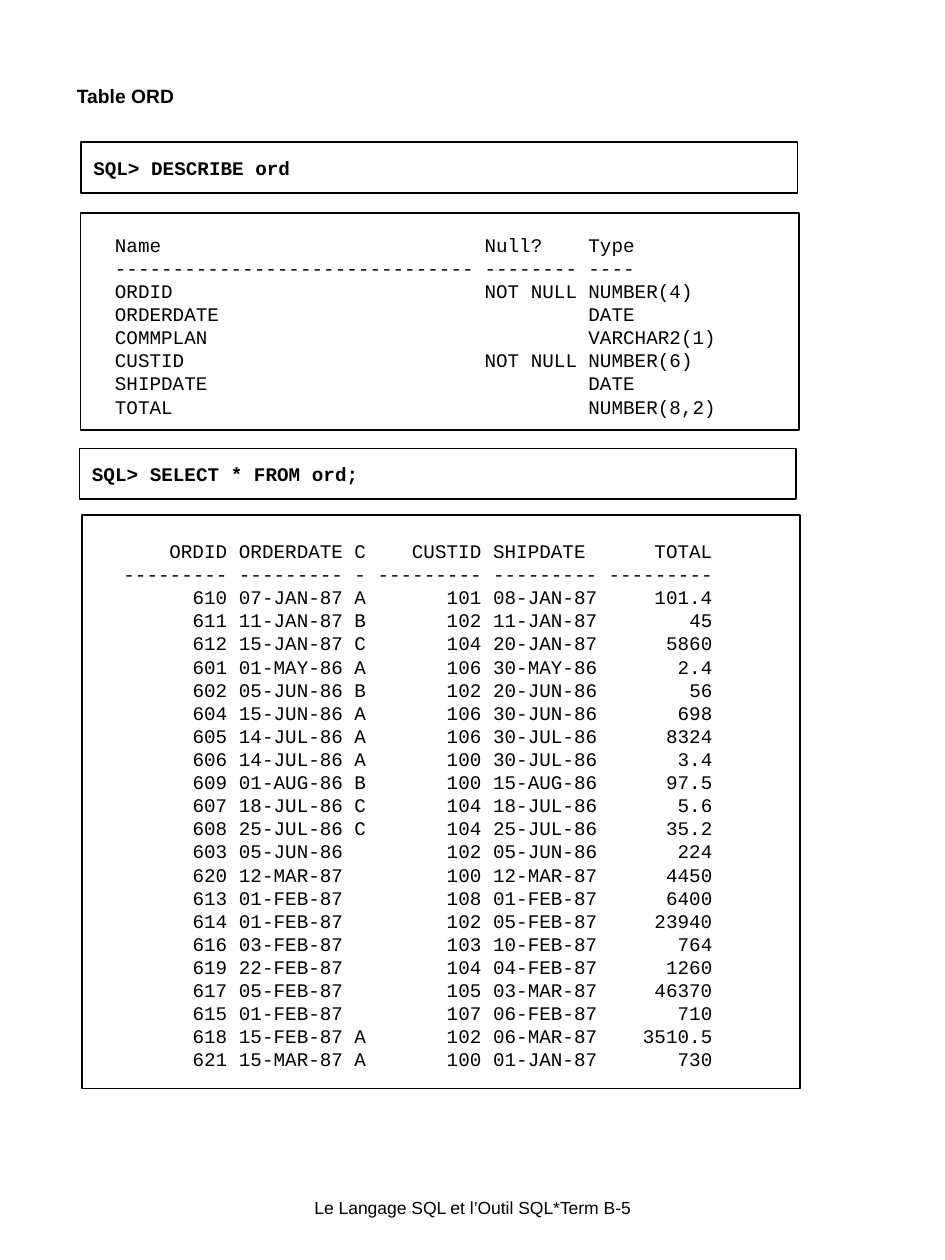
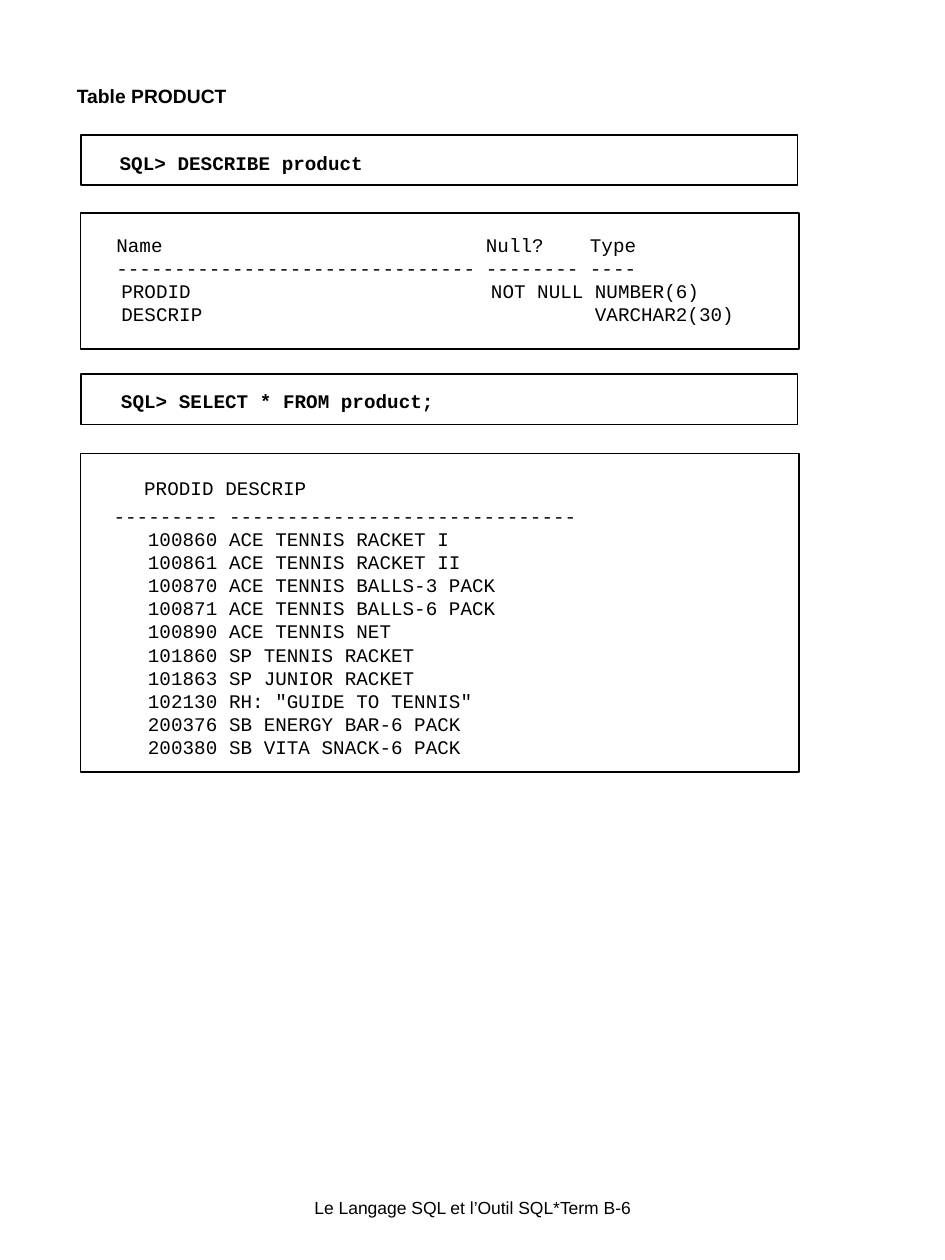
"""Builds two pages that describe and list the ORD and PRODUCT tables."""
import itertools
from dataclasses import dataclass

import pptx
import pptx.util
import pptx.dml.color
import pptx.enum.shapes
import pptx.enum.text
import pptx.oxml.ns
from lxml import etree

Inches = pptx.util.Inches
Pt = pptx.util.Pt


@dataclass(frozen=True)
class Theme:
    ink: pptx.dml.color.RGBColor = pptx.dml.color.RGBColor(0, 0, 0)
    sans: str = "Arial"
    mono: str = "Courier New"
    text_size: int = 11
    footer_size: int = 10
    line_width: int = 1
    char_width: float = 11 * 0.6 / 72
    text_inset: float = 0.1
    prompt_inset: float = 0.32


THEME = Theme()
WIDTH, HEIGHT = 7.5, 10
FOOTER = "Le Langage SQL et l’Outil SQL*Term B-{}"

DESCRIBE_HEAD = ("Name", "Null?", "Type")
DESCRIBE_COLUMNS = [(31, "l"), (8, "l"), (4, "l")]

ORD_FIELDS = [
    ("ORDID", "NOT NULL", "NUMBER(4)"),
    ("ORDERDATE", "", "DATE"),
    ("COMMPLAN", "", "VARCHAR2(1)"),
    ("CUSTID", "NOT NULL", "NUMBER(6)"),
    ("SHIPDATE", "", "DATE"),
    ("TOTAL", "", "NUMBER(8,2)"),
]
ORD_HEAD = ("ORDID", "ORDERDATE", "C", "CUSTID", "SHIPDATE", "TOTAL")
ORD_COLUMNS = [(9, "r"), (9, "l"), (1, "l"), (9, "r"), (9, "l"), (9, "r")]
ORD_ROWS = [
    ("610", "07-JAN-87", "A", "101", "08-JAN-87", "101.4"),
    ("611", "11-JAN-87", "B", "102", "11-JAN-87", "45"),
    ("612", "15-JAN-87", "C", "104", "20-JAN-87", "5860"),
    ("601", "01-MAY-86", "A", "106", "30-MAY-86", "2.4"),
    ("602", "05-JUN-86", "B", "102", "20-JUN-86", "56"),
    ("604", "15-JUN-86", "A", "106", "30-JUN-86", "698"),
    ("605", "14-JUL-86", "A", "106", "30-JUL-86", "8324"),
    ("606", "14-JUL-86", "A", "100", "30-JUL-86", "3.4"),
    ("609", "01-AUG-86", "B", "100", "15-AUG-86", "97.5"),
    ("607", "18-JUL-86", "C", "104", "18-JUL-86", "5.6"),
    ("608", "25-JUL-86", "C", "104", "25-JUL-86", "35.2"),
    ("603", "05-JUN-86", "", "102", "05-JUN-86", "224"),
    ("620", "12-MAR-87", "", "100", "12-MAR-87", "4450"),
    ("613", "01-FEB-87", "", "108", "01-FEB-87", "6400"),
    ("614", "01-FEB-87", "", "102", "05-FEB-87", "23940"),
    ("616", "03-FEB-87", "", "103", "10-FEB-87", "764"),
    ("619", "22-FEB-87", "", "104", "04-FEB-87", "1260"),
    ("617", "05-FEB-87", "", "105", "03-MAR-87", "46370"),
    ("615", "01-FEB-87", "", "107", "06-FEB-87", "710"),
    ("618", "15-FEB-87", "A", "102", "06-MAR-87", "3510.5"),
    ("621", "15-MAR-87", "A", "100", "01-JAN-87", "730"),
]

PRODUCT_FIELDS = [
    ("PRODID", "NOT NULL", "NUMBER(6)"),
    ("DESCRIP", "", "VARCHAR2(30)"),
]
PRODUCT_HEAD = ("PRODID", "DESCRIP")
PRODUCT_COLUMNS = [(9, "r"), (30, "l")]
PRODUCT_ROWS = [
    ("100860", "ACE TENNIS RACKET I"),
    ("100861", "ACE TENNIS RACKET II"),
    ("100870", "ACE TENNIS BALLS-3 PACK"),
    ("100871", "ACE TENNIS BALLS-6 PACK"),
    ("100890", "ACE TENNIS NET"),
    ("101860", "SP TENNIS RACKET"),
    ("101863", "SP JUNIOR RACKET"),
    ("102130", 'RH: "GUIDE TO TENNIS"'),
    ("200376", "SB ENERGY BAR-6 PACK"),
    ("200380", "SB VITA SNACK-6 PACK"),
]

PAGES = [
    dict(
        title="Table ORD", number=5, title_width=6.24,
        commands=[
            dict(text="SQL> DESCRIBE ord", frame=(0.64, 1.13, 5.69, 0.4), box=(0.42, 1.19, 2.42, 0.28)),
            dict(text="SQL> SELECT * FROM ord;", frame=(0.63, 3.56, 5.69, 0.4), box=(0.41, 3.62, 2.97, 0.28)),
        ],
        listings=[
            dict(head=DESCRIBE_HEAD, columns=DESCRIBE_COLUMNS, rows=ORD_FIELDS, lead=1,
                 frame=(0.64, 1.69, 5.7, 1.72), box=(0.72, 1.8, 5.08, 1.57)),
            dict(head=ORD_HEAD, columns=ORD_COLUMNS, rows=ORD_ROWS, lead=0,
                 frame=(0.65, 4.09, 5.7, 4.55), box=(0.88, 4.23, 4.9, 4.32)),
        ],
    ),
    dict(
        title="Table PRODUCT", number=6, title_width=5.84,
        commands=[
            dict(text="SQL> DESCRIBE product", frame=(0.64, 1.07, 5.69, 0.4), box=(0.63, 1.15, 4.85, 0.42)),
            dict(text="SQL> SELECT * FROM product;", frame=(0.64, 2.97, 5.69, 0.4), box=(0.64, 3.04, 5.69, 0.27)),
        ],
        listings=[
            dict(head=DESCRIBE_HEAD, columns=DESCRIBE_COLUMNS, rows=PRODUCT_FIELDS, lead=2, row_shift=0.04,
                 frame=(0.64, 1.69, 5.7, 1.08), box=(0.64, 1.8, 5.66, 0.83)),
            dict(head=PRODUCT_HEAD, columns=PRODUCT_COLUMNS, rows=PRODUCT_ROWS, lead=1, head_shift=-0.03,
                 top_inset=0.23, head_gap=2.7, frame=(0.64, 3.6, 5.7, 2.53), box=(0.71, 3.55, 3.97, 2.52)),
        ],
    ),
]


def place(lengths):
    return [Inches(length) for length in lengths]


def set_font(p, name, size=THEME.text_size, bold=False):
    p.font.name, p.font.size, p.font.bold = name, Pt(size), bold
    p.font.color.rgb = THEME.ink


def set_frame(tf, left=0, top=0, right=0, bottom=0):
    tf.word_wrap = True
    tf.auto_size = pptx.enum.text.MSO_AUTO_SIZE.NONE
    tf.vertical_anchor = pptx.enum.text.MSO_ANCHOR.TOP
    tf.margin_left, tf.margin_top, tf.margin_right, tf.margin_bottom = place((left, top, right, bottom))


def add_text(s, box, left=0, top=0):
    tf = s.shapes.add_textbox(*place(box)).text_frame
    set_frame(tf, left, top)
    return tf


def add_border(s, frame):
    border = s.shapes.add_shape(pptx.enum.shapes.MSO_SHAPE.RECTANGLE, *place(frame))
    border.shadow.inherit = False
    border.fill.background()
    border.line.color.rgb = THEME.ink
    border.line.width = Pt(THEME.line_width)


def set_tabs(p, stops):
    qn = pptx.oxml.ns.qn
    tabs = etree.SubElement(p._p.get_or_add_pPr(), qn("a:tabLst"))
    for position, align in stops:
        etree.SubElement(tabs, qn("a:tab"), pos=str(Inches(position)), algn=align)


def column_stops(columns, lead, shift):
    starts = itertools.accumulate((width + 1 for width, _ in columns), initial=lead)
    for start, (width, align) in zip(starts, columns):
        edge = start + width if align == "r" else start
        yield THEME.text_inset + shift + edge * THEME.char_width, align


def add_command(s, text, frame, box):
    add_border(s, frame)
    p = add_text(s, box, THEME.prompt_inset, 0.05).paragraphs[0]
    p.text = text
    set_font(p, THEME.mono, bold=True)


def add_listing(s, head, columns, rows, lead, frame, box,
                head_shift=0, row_shift=0, top_inset=0.05, head_gap=0):
    add_border(s, frame)
    tf = add_text(s, box, top=top_inset)
    rules = ["-" * width for width, _ in columns]
    left_columns = [(width, "l") for width, _ in columns]
    lines = [(head, columns, head_shift), (rules, left_columns, 0)]
    lines += [(row, columns, row_shift) for row in rows]
    for i, (cells, line_columns, shift) in enumerate(lines):
        p = tf.add_paragraph() if i else tf.paragraphs[0]
        p.text = "".join("\t" + cell for cell in cells)
        set_tabs(p, column_stops(line_columns, lead, shift))
        set_font(p, THEME.mono)
    if head_gap:
        tf.paragraphs[0].space_after = Pt(head_gap)


def add_title(s, text, width):
    title = s.shapes.title
    title.left, title.top, title.width, title.height = place((0.52, 0.61, width, 0.4))
    set_frame(title.text_frame, 0.09, 0.04, 0.09, 0.04)
    p = title.text_frame.paragraphs[0]
    p.text = text
    p.alignment = pptx.enum.text.PP_ALIGN.LEFT
    p.line_spacing, p.space_before = 1.1, Pt(2.8)
    set_font(p, THEME.sans, bold=True)


def add_footer(s, number):
    p = add_text(s, (0.85, HEIGHT * 0.95, 5.8, 0.17)).paragraphs[0]
    p.text = FOOTER.format(number)
    p.alignment = pptx.enum.text.PP_ALIGN.CENTER
    set_font(p, THEME.sans, THEME.footer_size)


def main():
    prs = pptx.Presentation()
    prs.slide_width, prs.slide_height = place((WIDTH, HEIGHT))
    for page in PAGES:
        s = prs.slides.add_slide(prs.slide_layouts[5])
        add_title(s, page["title"], page["title_width"])
        for command, listing in zip(page["commands"], page["listings"]):
            add_command(s, **command)
            add_listing(s, **listing)
        add_footer(s, page["number"])
    prs.save("out.pptx")


if __name__ == "__main__":
    main()
